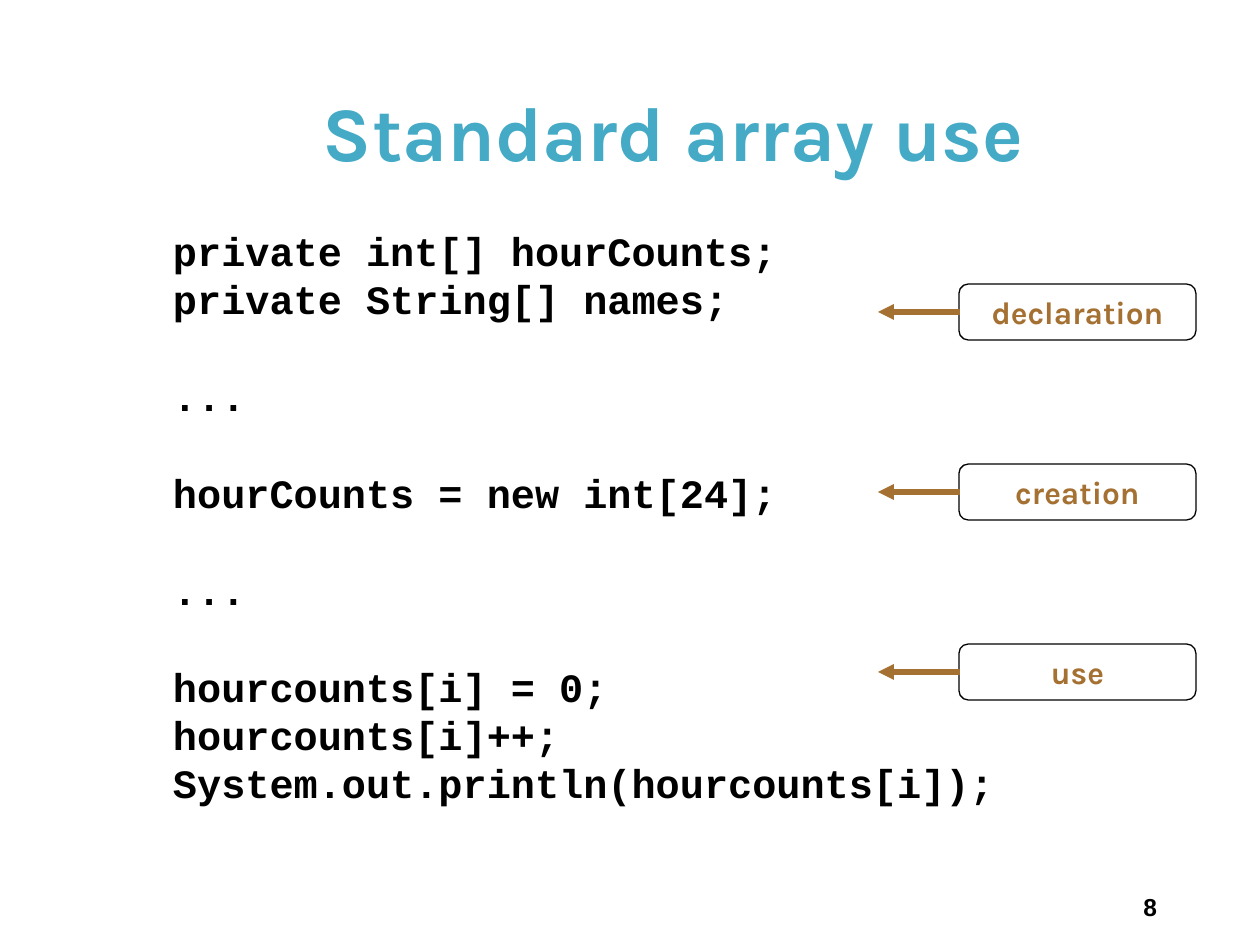
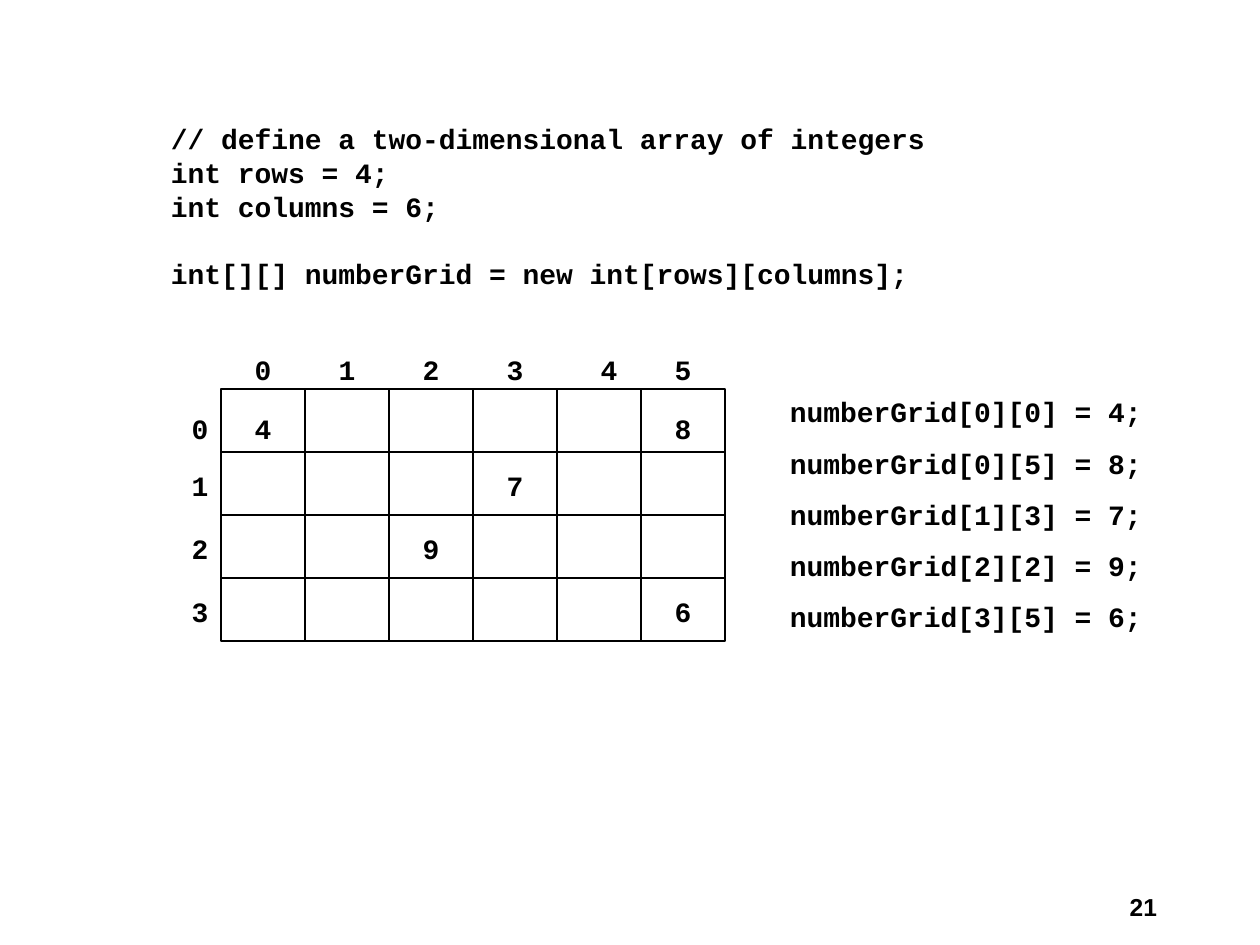
from lxml import etree
from pptx import Presentation
from pptx import util as u
from pptx.dml.color import RGBColor
from pptx.enum import shapes, text
from pptx.oxml import ns

COLORS = {"title": "44AAC6", "ink": "000000", "accent": "A57133"}
CODE_FONT = "Courier New"
TITLE_FONT = "Karla"
SCALE = u.Inches(1) / 126


def px(count):
    return u.Emu(round(count * SCALE))


def write(frame, content, font=CODE_FONT, size=16, color="ink", align="LEFT",
          anchor="TOP", insets=(13, 6, 13, 6), gap=0, gap_lines=None):
    frame.word_wrap = True
    frame.vertical_anchor = text.MSO_ANCHOR[anchor]
    frame.margin_left, frame.margin_top, frame.margin_right, frame.margin_bottom = map(px, insets)
    for index, line in enumerate(content.split("\n")):
        para = frame.add_paragraph() if index else frame.paragraphs[0]
        para.alignment = text.PP_ALIGN[align]
        if index and (gap_lines is None or index in gap_lines):
            para.space_before = u.Pt(gap)
        span = para.add_run()
        span.text = line
        span.font.name = font
        span.font.size = u.Pt(size)
        span.font.bold = True
        span.font.color.rgb = RGBColor.from_string(COLORS[color])


deck = Presentation()
deck.slide_width, deck.slide_height = px(1260), px(945)

pages = []
for number in ("8", "21"):
    page = deck.slides.add_slide(deck.slide_layouts[6])
    box = page.shapes.add_textbox(px(1103), px(886), px(73), px(42))
    write(box.text_frame, number, font="Arial", size=14, align="RIGHT", insets=(13, 6, 19, 6))
    pages.append(page)
usage, grid = pages

box = usage.shapes.add_textbox(px(137), px(52), px(1071), px(158))
write(box.text_frame, "Standard array use", font=TITLE_FONT, size=44, color="title",
      align="CENTER", anchor="MIDDLE", insets=(13, 6, 11, 6))

usage_code = """private int[] hourCounts;
private String[] names;
...
hourCounts = new int[24];
...
hourcounts[i] = 0;
hourcounts[i]++;
System.out.println(hourcounts[i]);"""
box = usage.shapes.add_textbox(px(168), px(226), px(880), px(606))
write(box.text_frame, usage_code, size=23, insets=(5, 0, 5, 0), gap=27.8, gap_lines=(2, 3, 4, 5))

for step, label in enumerate(("declaration", "creation", "use")):
    top = 284 + 180 * step
    callout = usage.shapes.add_shape(shapes.MSO_SHAPE.ROUNDED_RECTANGLE,
                                     px(959), px(top), px(237), px(56))
    callout.shadow.inherit = False
    callout.fill.background()
    callout.line.color.rgb = RGBColor.from_string(COLORS["ink"])
    callout.line.width = u.Pt(0.75)
    write(callout.text_frame, label, font=TITLE_FONT, size=18, color="accent",
          align="CENTER", anchor="MIDDLE")
    arrow = usage.shapes.add_connector(shapes.MSO_CONNECTOR.STRAIGHT,
                                       px(960), px(top + 28), px(878), px(top + 28))
    arrow.line.color.rgb = RGBColor.from_string(COLORS["accent"])
    arrow.line.width = u.Pt(3)
    etree.SubElement(arrow.line._get_or_add_ln(), ns.qn("a:tailEnd"), type="triangle")
    etree.SubElement(arrow._element.spPr, ns.qn("a:effectLst"))

grid_code = """// define a two-dimensional array of integers
int rows = 4;
int columns = 6;
int[][] numberGrid = new int[rows][columns];"""
box = grid.shapes.add_textbox(px(158), px(116), px(796), px(181))
write(box.text_frame, grid_code, gap=19.2, gap_lines=(3,))

ROWS, COLUMNS = 4, 6
CELL_WIDTH, CELL_HEIGHT = 84, 63
GRID_LEFT, GRID_TOP = 221, 389
values = {(0, 0): 4, (0, 5): 8, (1, 3): 7, (2, 2): 9, (3, 5): 6}

statements = "\n".join(f"numberGrid[{row}][{column}] = {value};"
                       for (row, column), value in values.items())
box = grid.shapes.add_textbox(px(777), px(389), px(390), px(251))
write(box.text_frame, statements, gap=10)

for row in range(ROWS):
    for column in range(COLUMNS):
        cell = grid.shapes.add_shape(shapes.MSO_SHAPE.RECTANGLE,
                                     px(GRID_LEFT + CELL_WIDTH * column),
                                     px(GRID_TOP + CELL_HEIGHT * row),
                                     px(CELL_WIDTH), px(CELL_HEIGHT))
        cell.shadow.inherit = False
        cell.fill.background()
        cell.line.color.rgb = RGBColor.from_string(COLORS["ink"])
        cell.line.width = u.Pt(0.75)

digit_lefts = [242 + CELL_WIDTH * column for column in range(COLUMNS)]
digit_tops = [406, 463, 526, 589]
digits = [(left, 347, column) for column, left in enumerate(digit_lefts)]
digits[4] = (588, 347, 4)
digits += [(179, top, row) for row, top in enumerate(digit_tops)]
digits += [(digit_lefts[column], digit_tops[row], value)
           for (row, column), value in values.items()]
for left, top, digit in digits:
    box = grid.shapes.add_textbox(px(left), px(top), px(42), px(47))
    write(box.text_frame, str(digit), align="CENTER", insets=(12, 6, 12, 6))

deck.save("out.pptx")
